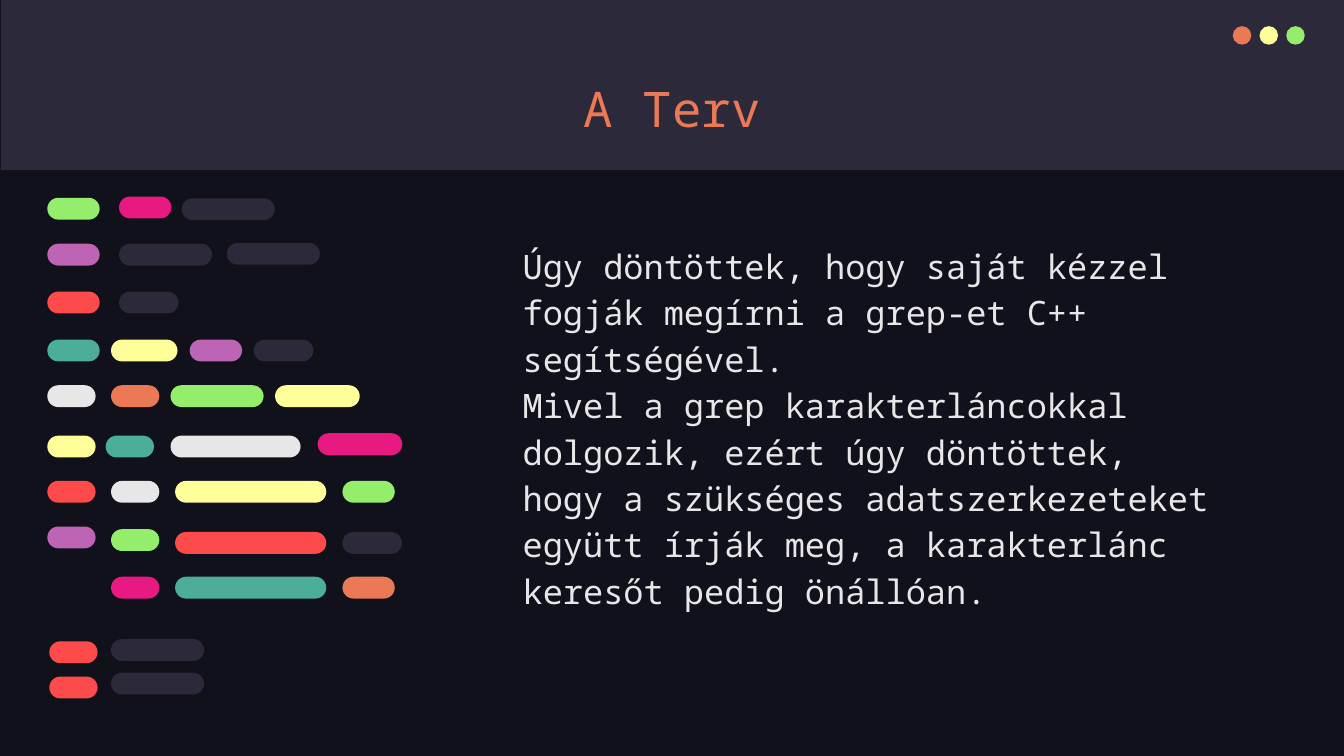
from dataclasses import dataclass

from pptx import Presentation
from pptx.dml.color import RGBColor
from pptx.enum.shapes import MSO_SHAPE
from pptx.enum.text import MSO_ANCHOR, PP_ALIGN
from pptx.shapes.autoshape import Shape
from pptx.slide import Slide
from pptx.util import Pt


@dataclass(frozen=True)
class Theme:
    background: str = "10111A"
    panel: str = "2C293A"
    orange: str = "EC7955"
    yellow: str = "FFFF99"
    green: str = "94EE6B"
    pink: str = "E81A81"
    purple: str = "BD64B5"
    red: str = "FD4A4A"
    teal: str = "4CAE97"
    light: str = "E7E7E7"
    font: str = "Noto Sans Mono"
    title_size: float = 35
    body_size: float = 24


@dataclass(frozen=True)
class Box:
    left: float
    top: float
    width: float
    height: float


@dataclass(frozen=True)
class Pill:
    left: float
    width: float
    color: str
    shift: float = 0  # downward offset from its code line


@dataclass(frozen=True)
class CodeLine:
    top: float
    pills: tuple[Pill, ...]


THEME = Theme()
SLIDE_WIDTH, SLIDE_HEIGHT = 960, 540
PILL_HEIGHT = 15.6
DOT_SIZE, DOT_LEFT, DOT_TOP, DOT_STEP = 13.2, 880.6, 18.7, 19.1
TEXT_INSET = 9.4

TINY, SHORT, GREY, MEDIUM = 34.5, 37.4, 42.5, 47.5
LONG, WIDE, BROAD, FULL = 60.5, 66.5, 92.9, 108
MARGIN, INDENT = 33.8, 79.3

CODE_LINES = (
    CodeLine(141.3, (
        Pill(MARGIN, SHORT, THEME.green),
        Pill(85, SHORT, THEME.pink, -0.9),
        Pill(129.8, WIDE, THEME.panel, 0.4),
    )),
    CodeLine(174.1, (
        Pill(MARGIN, SHORT, THEME.purple),
        Pill(85, WIDE, THEME.panel),
        Pill(162, WIDE, THEME.panel, -0.6),
    )),
    CodeLine(208.3, (
        Pill(MARGIN, SHORT, THEME.red),
        Pill(85, GREY, THEME.panel),
    )),
    CodeLine(242.6, (
        Pill(MARGIN, SHORT, THEME.teal),
        Pill(INDENT, MEDIUM, THEME.yellow),
        Pill(135.5, SHORT, THEME.purple),
        Pill(181.3, GREY, THEME.panel),
    )),
    CodeLine(275.2, (
        Pill(MARGIN, TINY, THEME.light),
        Pill(INDENT, TINY, THEME.orange),
        Pill(121.8, WIDE, THEME.green),
        Pill(196.5, LONG, THEME.yellow),
    )),
    CodeLine(311.2, (
        Pill(MARGIN, TINY, THEME.yellow),
        Pill(75.5, TINY, THEME.teal),
        Pill(121.8, BROAD, THEME.light),
        Pill(226.9, LONG, THEME.pink, -1.7),
    )),
    CodeLine(343.5, (
        Pill(MARGIN, TINY, THEME.red),
        Pill(INDENT, TINY, THEME.light),
        Pill(125.1, FULL, THEME.yellow),
        Pill(244.6, SHORT, THEME.green),
    )),
    CodeLine(376.1, (
        Pill(MARGIN, TINY, THEME.purple),
        Pill(INDENT, TINY, THEME.green, 1.9),
        Pill(125.1, FULL, THEME.red, 3.9),
        Pill(244.6, GREY, THEME.panel, 3.9),
    )),
    CodeLine(412, (
        Pill(INDENT, TINY, THEME.pink),
        Pill(125.1, FULL, THEME.teal),
        Pill(244.6, SHORT, THEME.orange),
    )),
    CodeLine(456.5, (
        Pill(35.2, TINY, THEME.red, 1.6),
        Pill(INDENT, WIDE, THEME.panel),
    )),
    CodeLine(480.5, (
        Pill(35.2, TINY, THEME.red, 2.8),
        Pill(INDENT, WIDE, THEME.panel),
    )),
)

PLAN = (
    "Úgy döntöttek, hogy saját kézzel fogják megírni a grep-et C++ segítségével.",
    "Mivel a grep karakterláncokkal dolgozik, ezért úgy döntöttek, hogy a szükséges "
    "adatszerkezeteket együtt írják meg, a karakterlánc keresőt pedig önállóan.",
)


def add_solid(slide: Slide, kind: MSO_SHAPE, box: Box, color: str) -> Shape:
    """Add a flat filled shape without outline or shadow."""
    solid = slide.shapes.add_shape(
        kind, Pt(box.left), Pt(box.top), Pt(box.width), Pt(box.height)
    )
    solid.shadow.inherit = False
    solid.fill.solid()
    solid.fill.fore_color.rgb = RGBColor.from_string(color)
    solid.line.fill.background()
    return solid


def add_text(slide: Slide, box: Box, lines: tuple[str, ...], size: float, color: str,
             align: PP_ALIGN, anchor: MSO_ANCHOR, spacing: float) -> None:
    frame = slide.shapes.add_textbox(
        Pt(box.left), Pt(box.top), Pt(box.width), Pt(box.height)
    ).text_frame
    frame.word_wrap = True
    frame.vertical_anchor = anchor
    frame.margin_left = frame.margin_right = Pt(TEXT_INSET)
    frame.margin_top = frame.margin_bottom = Pt(TEXT_INSET)
    for index, line in enumerate(lines):
        paragraph = frame.add_paragraph() if index else frame.paragraphs[0]
        paragraph.text = line
        paragraph.alignment = align
        paragraph.line_spacing = spacing
        paragraph.font.name = THEME.font
        paragraph.font.size = Pt(size)
        paragraph.font.color.rgb = RGBColor.from_string(color)


def add_window_bar(slide: Slide) -> None:
    add_solid(slide, MSO_SHAPE.RECTANGLE, Box(0.7, 0, SLIDE_WIDTH - 0.7, 121.5), THEME.panel)
    for index, color in enumerate((THEME.orange, THEME.yellow, THEME.green)):
        dot = Box(DOT_LEFT + index * DOT_STEP, DOT_TOP, DOT_SIZE, DOT_SIZE)
        add_solid(slide, MSO_SHAPE.OVAL, dot, color)


def add_code_line(slide: Slide, line: CodeLine) -> None:
    for pill in line.pills:
        box = Box(pill.left, line.top + pill.shift, pill.width, PILL_HEIGHT)
        bar = add_solid(slide, MSO_SHAPE.ROUNDED_RECTANGLE, box, pill.color)
        bar.adjustments[0] = 0.5


def main() -> None:
    presentation = Presentation()
    presentation.slide_width = Pt(SLIDE_WIDTH)
    presentation.slide_height = Pt(SLIDE_HEIGHT)
    slide = presentation.slides.add_slide(presentation.slide_layouts[6])
    slide.background.fill.solid()
    slide.background.fill.fore_color.rgb = RGBColor.from_string(THEME.background)

    add_window_bar(slide)
    add_text(slide, Box(75.6, 46.8, 809.2, 60.5), ("A Terv",), THEME.title_size,
             THEME.orange, PP_ALIGN.CENTER, MSO_ANCHOR.MIDDLE, 1)
    for line in CODE_LINES:
        add_code_line(slide, line)
    add_text(slide, Box(363.9, 162, 521.3, 322.6), PLAN, THEME.body_size,
             THEME.light, PP_ALIGN.LEFT, MSO_ANCHOR.TOP, 1.15)
    presentation.save("out.pptx")


if __name__ == "__main__":
    main()
